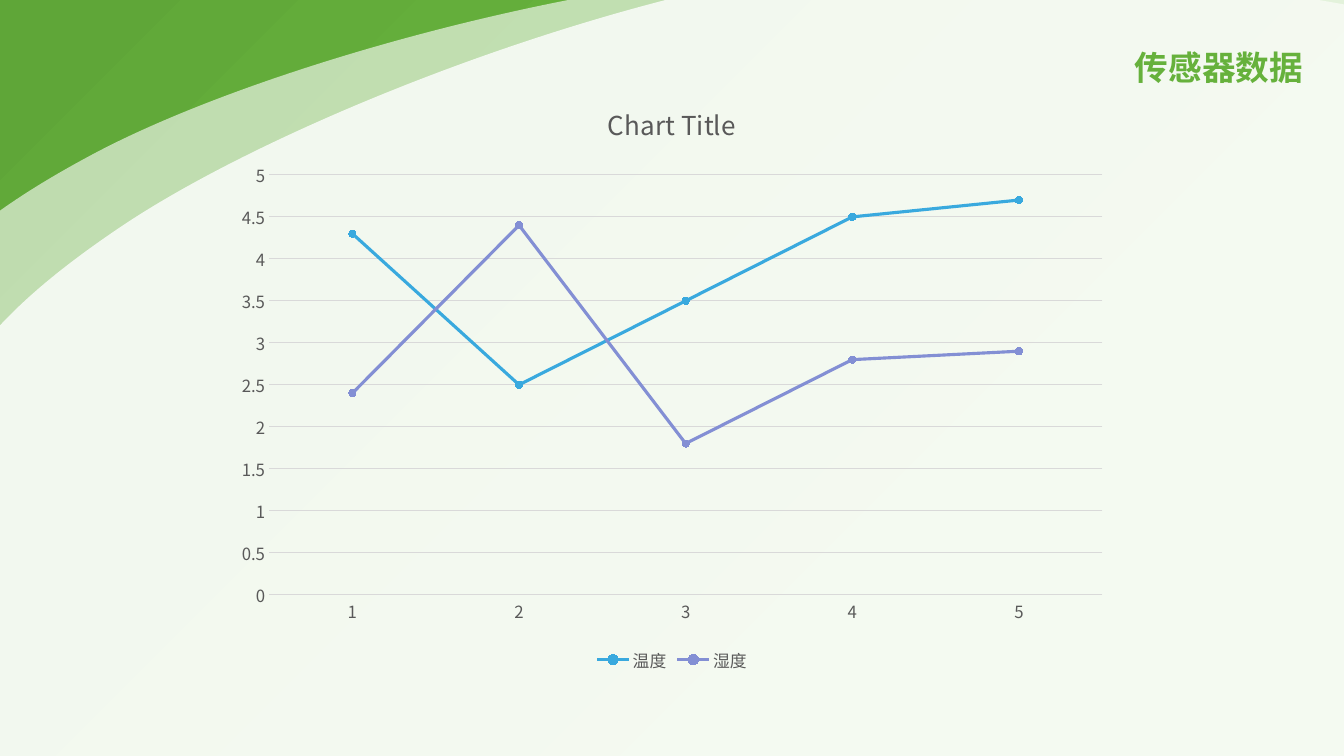
from copy import deepcopy
from lxml import etree
from pptx import Presentation
from pptx.chart import data
from pptx.dml.color import RGBColor
from pptx.enum import chart as ch, shapes, text
from pptx.oxml import ns
from pptx.util import Inches, Pt

WHITE = RGBColor(0xFF, 0xFF, 0xFF)
GREEN = RGBColor(0x66, 0xB1, 0x3C)
LIGHT = RGBColor(0x7D, 0xC5, 0x55)
DARK = RGBColor(0x5F, 0xA6, 0x38)
BLUE = RGBColor(0x39, 0xA9, 0xDE)
VIOLET = RGBColor(0x83, 0x8F, 0xD4)
GRAY = RGBColor(0x59, 0x59, 0x59)
RULE = RGBColor(0xD9, 0xD9, 0xD9)
FONT = "Noto Sans CJK SC"

WIDE, HIGH = 20.44, 9.93
START = (0.58, 4.23)
CURVES = [((0.91, 3.31), (1.32, 2.68), (2.89, 1.85)),
          ((4.45, 1.03), (7.57, 0.14), (10.06, 0.02)),
          ((12.56, -0.1), (16.29, 0.33), (17.85, 1.16)),
          ((19.42, 1.98), (21.2, 4.5), (20.11, 5.8)),
          ((19.01, 7.11), (13.26, 9.65), (10.06, 9.91)),
          ((6.86, 10.17), (2.45, 8.19), (0.89, 7.36)),
          ((-0.68, 6.54), (0.25, 5.15), START)]


def add(parent, tag, **attrs):
    return etree.SubElement(parent, ns.qn(tag), **attrs)


def style(font, size, color, bold=False):
    font.name = FONT
    font.size = Pt(size)
    font.color.rgb = color
    font.bold = bold


def backdrop(slide, width, height):
    rect = slide.shapes.add_shape(shapes.MSO_SHAPE.RECTANGLE, 0, 0, width, height)
    rect.shadow.inherit = False
    rect.line.fill.background()
    rect.fill.gradient()
    grad = rect._element.spPr.find(ns.qn("a:gradFill"))
    for child in list(grad):
        grad.remove(child)
    stops = add(grad, "a:gsLst")
    for pos, color in ((0, LIGHT), (23, LIGHT), (69, GREEN), (97, DARK)):
        stop = add(stops, "a:gs", pos=str(pos * 1000))
        add(stop, "a:srgbClr", val=str(color))
    path = add(grad, "a:path", path="circle")
    add(path, "a:fillToRect", l="100000", t="100000")


def trace(path, tag, points):
    step = add(path, tag)
    for x, y in points:
        add(step, "a:pt", x=str(Inches(x)), y=str(Inches(y)))


def sweep(slide, left, top, turn, alpha):
    form = slide.shapes.build_freeform(Inches(left), Inches(top))
    form.add_line_segments([(Inches(left + WIDE), Inches(top + HIGH))])
    shape = form.convert_to_shape()
    path = next(shape._element.iter(ns.qn("a:path")))
    for child in list(path):
        path.remove(child)
    trace(path, "a:moveTo", [START])
    for points in CURVES:
        trace(path, "a:cubicBezTo", points)
    add(path, "a:close")
    shape.rotation = turn
    shape.shadow.inherit = False
    shape.line.fill.background()
    shape.fill.solid()
    shape.fill.fore_color.rgb = WHITE
    color = shape._element.spPr.find(ns.qn("a:solidFill"))[0]
    add(color, "a:alpha", val=str(alpha * 1000))


def heading(slide, words):
    box = slide.shapes.add_textbox(Inches(7.22), Inches(0.29), Inches(5.8), Inches(0.79))
    frame = box.text_frame
    frame.word_wrap = True
    frame.vertical_anchor = text.MSO_ANCHOR.MIDDLE
    frame.text = words
    para = frame.paragraphs[0]
    para.alignment = text.PP_ALIGN.RIGHT
    para.line_spacing = 0.9
    para.space_before = Pt(10)
    run = para.runs[0]
    style(run.font, 24, GREEN, True)
    add(run._r.get_or_add_rPr(), "a:ea", typeface=FONT)


def rule(line):
    line.color.rgb = RULE
    line.width = Pt(0.75)


def paint(series, color):
    series.smooth = False
    series.format.line.color.rgb = color
    series.format.line.width = Pt(2.25)
    mark = series.marker
    mark.style = ch.XL_MARKER_STYLE.CIRCLE
    mark.size = 5
    mark.format.fill.solid()
    mark.format.fill.fore_color.rgb = color
    mark.format.line.color.rgb = color


def caption(chart):
    chart.has_title = True
    look = deepcopy(chart.legend._element.find(ns.qn("c:txPr")))
    next(look.iter(ns.qn("a:defRPr"))).set("sz", "1860")
    chart.chart_title._element.append(look)


def graph(slide):
    table = data.CategoryChartData()
    table.categories = ["1", "2", "3", "4", "5"]
    table.add_series("温度", (4.3, 2.5, 3.5, 4.5, 4.7))
    table.add_series("湿度", (2.4, 4.4, 1.8, 2.8, 2.9))
    chart = slide.shapes.add_chart(
        ch.XL_CHART_TYPE.LINE_MARKERS, Inches(2.22), Inches(0.79),
        Inches(8.89), Inches(5.92), table).chart
    chart.font.name = FONT
    chart.font.size = Pt(10)
    chart.has_legend = True
    chart.legend.position = ch.XL_LEGEND_POSITION.BOTTOM
    chart.legend.include_in_layout = False
    style(chart.legend.font, 12, GRAY)
    caption(chart)
    for axis in (chart.category_axis, chart.value_axis):
        axis.major_tick_mark = ch.XL_TICK_MARK.NONE
        axis.minor_tick_mark = ch.XL_TICK_MARK.NONE
        style(axis.tick_labels.font, 12, GRAY)
    rule(chart.category_axis.format.line)
    values = chart.value_axis
    values.format.line.fill.background()
    rule(values.major_gridlines.format.line)
    plot = chart.plots[0]
    plot.vary_by_categories = False
    for series, color in zip(plot.series, (BLUE, VIOLET)):
        paint(series, color)


def main():
    deck = Presentation()
    deck.slide_width = Inches(13.33)
    deck.slide_height = Inches(7.5)
    slide = deck.slides.add_slide(deck.slide_layouts[6])
    backdrop(slide, deck.slide_width, deck.slide_height)
    sweep(slide, -1.93, -0.34, 0, 60)
    sweep(slide, -1.38, -0.39, 354.1, 80)
    heading(slide, "传感器数据")
    graph(slide)
    deck.save("out.pptx")


if __name__ == "__main__":
    main()
